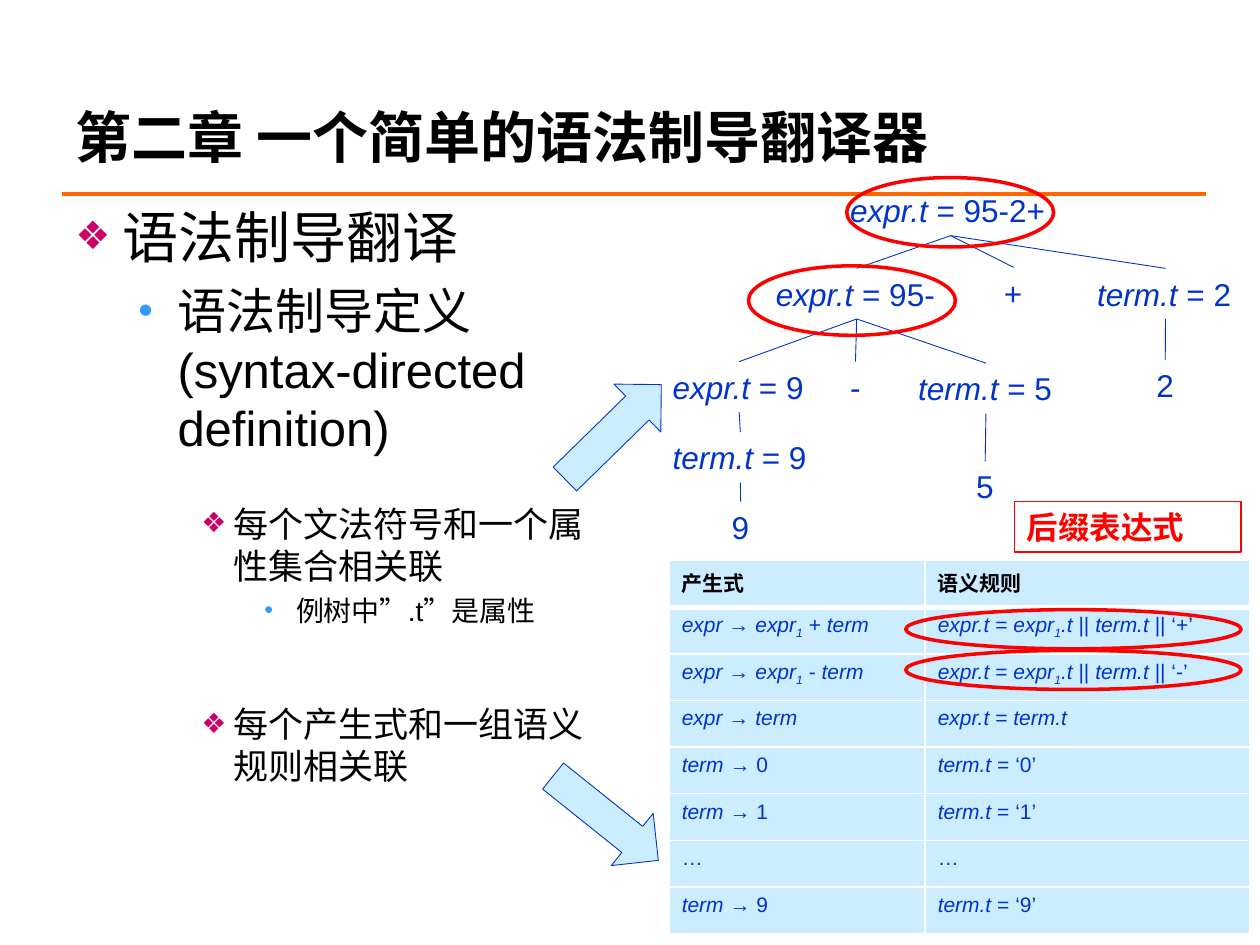
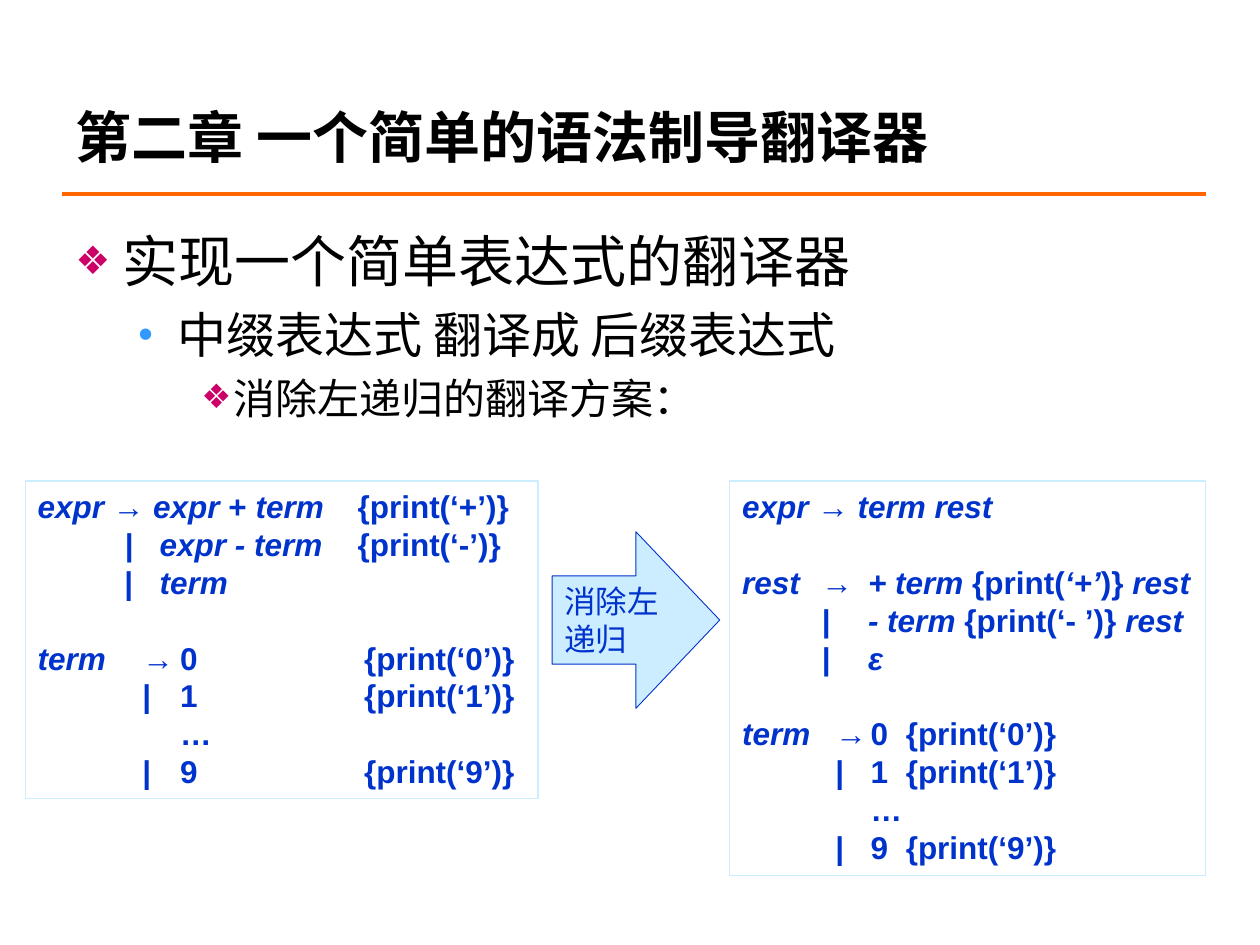
"""Two lecture slides on syntax-directed translation."""
from dataclasses import dataclass
from typing import Optional

from lxml.etree import SubElement
from pptx import Presentation
from pptx.dml.color import RGBColor
from pptx.enum.shapes import MSO_CONNECTOR as CONN, MSO_SHAPE as SHAPE
from pptx.enum.text import MSO_ANCHOR as ANCHOR, PP_ALIGN as ALIGN
from pptx.oxml.ns import qn
from pptx.util import Cm, Pt

BLACK = RGBColor(0x00, 0x00, 0x00)
WHITE = RGBColor(0xFF, 0xFF, 0xFF)
BLUE = RGBColor(0x00, 0x33, 0xCC)
PALE = RGBColor(0xCC, 0xEC, 0xFF)
RED = RGBColor(0xFF, 0x00, 0x00)
ORANGE = RGBColor(0xFF, 0x66, 0x00)
MAGENTA = RGBColor(0xCC, 0x00, 0x66)
SKY = RGBColor(0x33, 0x99, 0xFF)
LATIN, CJK = "Arial", "Noto Sans CJK SC"
TITLE = "第二章 一个简单的语法制导翻译器"
LINE_FACTOR = 1.2
NODE_HEIGHT = 1.02


@dataclass(frozen=True)
class Box:
    left: float
    top: float
    width: float
    height: float

    def emu(self) -> tuple:
        return tuple(Cm(v) for v in (self.left, self.top, self.width, self.height))


@dataclass(frozen=True)
class Level:
    bullet: str
    color: RGBColor
    percent: int
    margin: float
    hanging: float


@dataclass(frozen=True)
class Item:
    text: str
    level: int
    size: int
    before: float = 0


@dataclass(frozen=True)
class Node:
    name: str
    text: str
    left: float
    top: float
    width: float
    parent: Optional[str] = None


@dataclass(frozen=True)
class CodeLine:
    text: str
    tabs: tuple = ()
    gap: bool = False


LEVELS = (
    Level("❖", MAGENTA, 70, 0.95, 0.95),
    Level("•", SKY, 85, 2.06, 0.79),
    Level("❖", MAGENTA, 80, 3.18, 0.64),
    Level("•", SKY, 90, 4.45, 0.64),
)

DEFINITION = (
    Item("语法制导翻译", 0, 32),
    Item("语法制导定义(syntax-directed definition)", 1, 28, 6),
    Item("每个文法符号和一个属性集合相关联", 2, 20, 26),
    Item("例树中”.t”是属性", 3, 16, 4),
    Item("每个产生式和一组语义规则相关联", 2, 20, 43.5),
)
TRANSLATOR = (
    Item("实现一个简单表达式的翻译器", 0, 32),
    Item("中缀表达式 翻译成 后缀表达式", 1, 28, 6),
    Item("消除左递归的翻译方案：", 2, 24, 5),
)

TREE = (
    Node("root", "*expr.t* = 95-2+", 16.89, 3.73, 4.55),
    Node("minus", "*expr.t* = 95-", 15.39, 5.41, 3.76, "root"),
    Node("plus sign", "+", 19.99, 5.39, 0.89, "root"),
    Node("term 2", "*term.t* = 2", 21.87, 5.41, 3.25, "root"),
    Node("digit 2", "2", 23.06, 7.26, 0.86, "term 2"),
    Node("expr 9", "*expr.t* = 9", 13.31, 7.29, 3.18, "minus"),
    Node("minus sign", "-", 16.89, 7.29, 0.71, "minus"),
    Node("term 5", "*term.t* = 5", 18.26, 7.32, 3.23, "minus"),
    Node("digit 5", "5", 19.43, 9.3, 0.86, "term 5"),
    Node("term 9", "*term.t* = 9", 13.31, 8.71, 3.23, "expr 9"),
    Node("digit 9", "9", 14.5, 10.11, 0.86, "term 9"),
)

RULES = (
    ("产生式", "语义规则"),
    ("*expr* → *expr~1~* + *term*", "*expr.t* = *expr~1~.t* || *term.t* || ‘+’"),
    ("*expr* → *expr~1~* - *term*", "*expr.t* = *expr~1~.t* || *term.t* || ‘-’"),
    ("*expr* → *term*", "*expr.t* = *term.t*"),
    ("*term* → 0", "*term.t* = ‘0’"),
    ("*term* → 1", "*term.t* = ‘1’"),
    ("…", "…"),
    ("*term* → 9", "*term.t* = ‘9’"),
)

EXPR_TABS, TERM_TABS = (1.75, 2.46, 6.45), (2.11, 2.87, 6.58)
LEFT_RECURSIVE = (
    CodeLine("*expr* → *expr* + *term*\t{print(‘+’)}", EXPR_TABS),
    CodeLine("*\t|\texpr - term*\t{print(‘-’)}", EXPR_TABS),
    CodeLine("\t|\t*term*", EXPR_TABS),
    CodeLine("*term*\t→\t0\t{print(‘0’)}", TERM_TABS, True),
    CodeLine("\t|\t1\t{print(‘1’)}", TERM_TABS),
    CodeLine("\t\t…", TERM_TABS),
    CodeLine("\t|\t9\t{print(‘9’)}", TERM_TABS),
)
REST_TABS, DIGIT_TABS = (1.6, 2.54), (1.88, 2.59, 3.3)
RIGHT_RECURSIVE = (
    CodeLine("*expr* → *term rest*"),
    CodeLine("*rest*\t→\t*+ term* {print(*‘+’*)} *rest*", REST_TABS, True),
    CodeLine("*\t|\t- term* {print(‘- ’)} *rest*", REST_TABS),
    CodeLine("*\t|\tε*", REST_TABS),
    CodeLine("*term*\t→\t0\t{print(‘0’)}", DIGIT_TABS, True),
    CodeLine("\t|\t1\t{print(‘1’)}", DIGIT_TABS),
    CodeLine("\t\t…", DIGIT_TABS),
    CodeLine("\t|\t9\t{print(‘9’)}", DIGIT_TABS),
)


def style_run(r, size: float, color: RGBColor, bold=False, italic=False, latin=LATIN) -> None:
    """Give a run its fonts, size, colour and emphasis."""
    f = r.font
    f.name, f.size, f.bold, f.italic = latin, Pt(size), bold, italic
    f.color.rgb = color
    ea = SubElement(r._r.get_or_add_rPr(), qn("a:ea"))
    ea.set("typeface", CJK)


def write(p, text: str, size: float, color: RGBColor, bold=False) -> None:
    """Write marked text, where *x* is italic and ~x~ is subscript."""
    p.alignment = ALIGN.LEFT
    for i, part in enumerate(text.split("*")):
        for j, piece in enumerate(part.split("~")):
            if piece:
                r = p.add_run()
                r.text = piece
                style_run(r, size, color, bold, i % 2 == 1)
                if j % 2:
                    r._r.get_or_add_rPr().set("baseline", "-25000")


def space(p, size: float, before: float = 0) -> None:
    """Set fixed line spacing for the size, and the gap above."""
    p.line_spacing = Pt(size * LINE_FACTOR)
    p.space_before = Pt(before)


def add_bullet(p, level: Level) -> None:
    """Give a paragraph its bullet and hanging indent."""
    pPr = p._p.get_or_add_pPr()
    pPr.set("marL", str(Cm(level.margin)))
    pPr.set("indent", str(-Cm(level.hanging)))
    clr = SubElement(SubElement(pPr, qn("a:buClr")), qn("a:srgbClr"))
    clr.set("val", str(level.color))
    SubElement(pPr, qn("a:buSzPct")).set("val", str(level.percent * 1000))
    SubElement(pPr, qn("a:buFont")).set("typeface", LATIN)
    SubElement(pPr, qn("a:buChar")).set("char", level.bullet)


def add_tabs(p, stops: tuple) -> None:
    """Add left tab stops to a paragraph."""
    tabs = SubElement(p._p.get_or_add_pPr(), qn("a:tabLst"))
    for stop in stops:
        tab = SubElement(tabs, qn("a:tab"))
        tab.set("pos", str(Cm(stop)))
        tab.set("algn", "l")


def add_line(s, color: RGBColor, width: float, ends=(0, 0, 0, 0)):
    """Draw a straight line without a shadow."""
    cxn = s.shapes.add_connector(CONN.STRAIGHT, *(Cm(v) for v in ends))
    cxn.line.color.rgb, cxn.line.width = color, Pt(width)
    SubElement(cxn._element.spPr, qn("a:effectLst"))
    return cxn


def add_preset(s, kind, box: Box, line: RGBColor, width: float, fill=None, turn: float = 0):
    """Draw an outlined preset shape, filled if a colour is given."""
    sp = s.shapes.add_shape(kind, *box.emu())
    sp.shadow.inherit = False
    sp.line.color.rgb, sp.line.width = line, Pt(width)
    sp.rotation = turn
    if fill is None:
        sp.fill.background()
    else:
        sp.fill.solid()
        sp.fill.fore_color.rgb = fill
    return sp


def add_label(sp, text: str, color: RGBColor, bold=False, wrap=True) -> None:
    """Write one 18-point paragraph in a shape."""
    tf = sp.text_frame
    tf.word_wrap = wrap
    write(tf.paragraphs[0], text, 18, color, bold)
    space(tf.paragraphs[0], 18)


def next_paragraph(tf, index: int):
    """Return the first paragraph, or a new one after it."""
    return tf.add_paragraph() if index else tf.paragraphs[0]


def add_slide(prs):
    """Add a slide with the chapter title and its rule."""
    s = prs.slides.add_slide(prs.slide_layouts[5])
    add_line(s, ORANGE, 2.25, (1.24, 3.91, 24.31, 3.91))
    sp = s.shapes.title
    sp.left, sp.top, sp.width, sp.height = Box(1.27, 1.93, 18.44, 1.63).emu()
    tf = sp.text_frame
    tf.text = TITLE
    tf.vertical_anchor, tf.word_wrap = ANCHOR.MIDDLE, True
    tf.paragraphs[0].alignment = ALIGN.LEFT
    style_run(tf.paragraphs[0].runs[0], 32, BLACK, True, latin=CJK)
    return s


def add_outline(s, box: Box, items: tuple) -> None:
    """Write the bulleted outline."""
    tf = s.shapes.add_textbox(*box.emu()).text_frame
    tf.word_wrap = True
    for i, item in enumerate(items):
        p = next_paragraph(tf, i)
        p.level = item.level
        add_bullet(p, LEVELS[item.level])
        space(p, item.size, item.before)
        write(p, item.text, item.size, BLACK)


def add_tree(s, nodes: tuple) -> None:
    """Draw the annotated parse tree, joining each node to its parent."""
    drawn = {}
    for node in nodes:
        box = Box(node.left, node.top, node.width, NODE_HEIGHT)
        sp = drawn[node.name] = s.shapes.add_textbox(*box.emu())
        add_label(sp, node.text, BLUE, wrap=False)
        if node.parent:
            cxn = add_line(s, BLUE, 0.5)
            cxn.begin_connect(drawn[node.parent], 2)
            cxn.end_connect(sp, 0)


def set_borders(cell, bottom: float) -> None:
    """Give a cell white borders."""
    tcPr = cell._tc.get_or_add_tcPr()
    for side, width in (("L", 1), ("R", 1), ("T", 1), ("B", bottom)):
        ln = SubElement(tcPr, qn(f"a:ln{side}"))
        ln.set("w", str(Pt(width)))
        SubElement(SubElement(ln, qn("a:solidFill")), qn("a:srgbClr")).set("val", str(WHITE))


def add_rules(s, rules: tuple) -> None:
    """Draw the table of productions and semantic rules."""
    box = Box(13.49, 11.3, 11.71, 0.94 * len(rules))
    table = s.shapes.add_table(len(rules), 2, *box.emu()).table
    table.first_row = table.horz_banding = False
    for col, width in zip(table.columns, (5.16, 6.55)):
        col.width = Cm(width)
    for i, row in enumerate(rules):
        head = i == 0
        for j, text in enumerate(row):
            cell = table.cell(i, j)
            set_borders(cell, 3 if head else 1)
            cell.fill.solid()
            cell.fill.fore_color.rgb = PALE
            write(cell.text_frame.paragraphs[0], text, 12, BLACK if head else BLUE, head)


def add_code(s, box: Box, lines: tuple) -> None:
    """Write a translation scheme in a framed box."""
    tf = add_preset(s, SHAPE.RECTANGLE, box, PALE, 0.75).text_frame
    tf.word_wrap, tf.vertical_anchor = True, ANCHOR.TOP
    for i, line in enumerate(lines):
        p = next_paragraph(tf, i)
        add_tabs(p, line.tabs)
        space(p, 18, 18 * LINE_FACTOR if line.gap else 0)
        write(p, line.text, 18, BLUE, True)


def build_definition(prs) -> None:
    """Build the slide on syntax-directed definitions."""
    s = add_slide(prs)
    add_outline(s, Box(1.27, 3.96, 10.85, 12.57), DEFINITION)
    for left, top, turn in ((11, 8.03, 315.6), (10.85, 15.82, 38.7)):
        add_preset(s, SHAPE.RIGHT_ARROW, Box(left, top, 2.72, 1.35), BLUE, 0.5, PALE, turn)
    add_tree(s, TREE)
    add_rules(s, RULES)
    for left, top, width, height in ((15.09, 5.36, 4.17, 1.4), (17.07, 3.58, 4.17, 1.4),
                                     (18.26, 12.29, 6.76, 0.79), (18.26, 13.11, 6.76, 0.79)):
        add_preset(s, SHAPE.OVAL, Box(left, top, width, height), RED, 2)
    sp = add_preset(s, SHAPE.RECTANGLE, Box(20.45, 10.11, 4.57, 1.02), RED, 0.75)
    add_label(sp, "后缀表达式", RED, True)


def build_translator(prs) -> None:
    """Build the slide on removing left recursion."""
    s = add_slide(prs)
    add_outline(s, Box(1.27, 4.45, 22.86, 12.57), TRANSLATOR)
    sp = add_preset(s, SHAPE.RIGHT_ARROW, Box(11.13, 10.72, 3.38, 3.56), BLUE, 0.5, PALE)
    add_label(sp, "消除左递归", BLUE)
    add_code(s, Box(0.51, 9.7, 10.34, 6.4), LEFT_RECURSIVE)
    add_code(s, Box(14.71, 9.7, 9.6, 7.95), RIGHT_RECURSIVE)


def main() -> None:
    """Build and save the slides."""
    prs = Presentation()
    prs.slide_width, prs.slide_height = Cm(25.4), Cm(19.05)
    build_definition(prs)
    build_translator(prs)
    prs.save("out.pptx")


if __name__ == "__main__":
    main()
